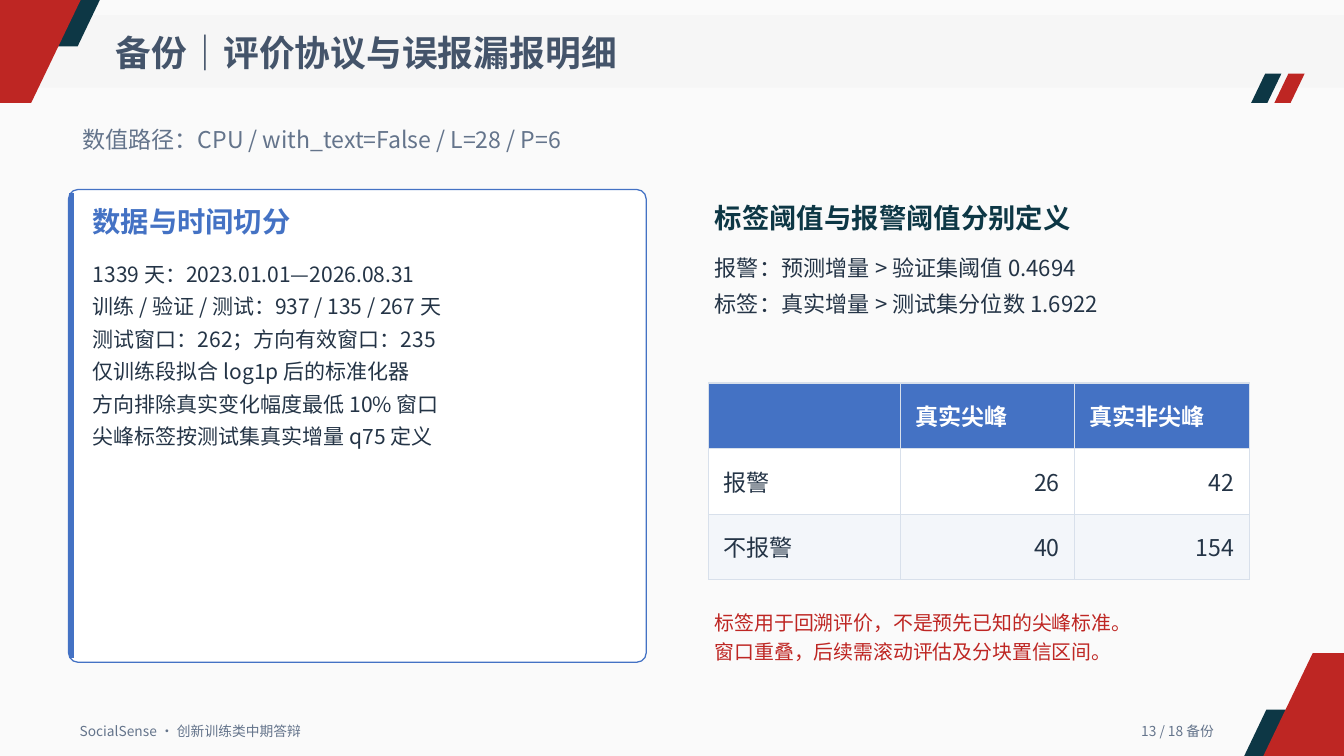
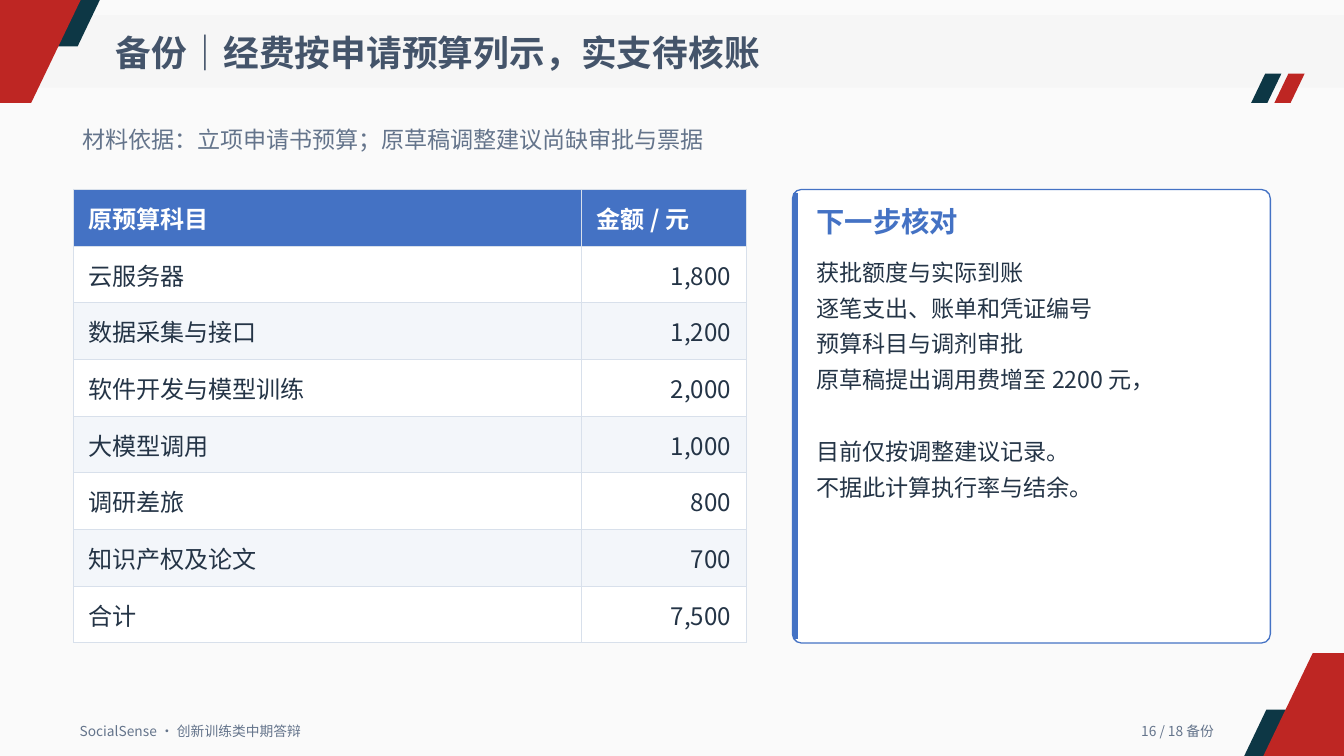
from lxml import etree
from pptx import Presentation
from pptx import util as u
from pptx.dml.color import RGBColor
from pptx.enum import shapes, text
from pptx.oxml import ns

W, H = 13.33, 7.5
FONT = "Noto Sans CJK SC"
RED, TEAL, BLUE, SLATE = "BE2623", "0D3745", "4472C4", "44546A"
INK, MUTED, WHITE, STRIPE, GRID = "243446", "64748B", "FFFFFF", "F3F6FA", "D8E0EB"
PAGE, BAND = "FAFAFA", "F6F6F6"


def rgb(color):
    return RGBColor.from_string(color)


def box(x, y, w, h):
    return [u.Inches(v) for v in (x, y, w, h)]


def style(p, size, color, bold=False, align=text.PP_ALIGN.LEFT):
    p.alignment = align
    f = p.font
    f.size, f.bold, f.name = u.Pt(size), bold, FONT
    f.color.rgb = rgb(color)
    rpr = p._p.find(".//" + ns.qn("a:defRPr"))
    etree.SubElement(rpr, ns.qn("a:ea"), typeface=FONT)


def add_text(s, x, y, w, h, lines, size, color, bold=False,
             align=text.PP_ALIGN.LEFT, leading=None, gap_before=None):
    tf = s.shapes.add_textbox(*box(x, y, w, h)).text_frame
    tf.word_wrap = True
    tf.margin_left = tf.margin_right = tf.margin_top = tf.margin_bottom = 0
    for i, line in enumerate(lines):
        p = tf.paragraphs[0] if i == 0 else tf.add_paragraph()
        p.text = line
        if leading:
            p.line_spacing = u.Pt(leading)
        if i == gap_before:
            p.space_before = u.Pt(leading)
        style(p, size, color, bold, align)


def paint(sp, fill, line=None):
    sp.shadow.inherit = False
    sp.fill.solid()
    sp.fill.fore_color.rgb = rgb(fill)
    if line:
        sp.line.color.rgb = rgb(line)
        sp.line.width = u.Pt(0.9)
    else:
        sp.line.fill.background()


def add_shape(s, kind, x, y, w, h, fill, line=None, adj=None):
    sp = s.shapes.add_shape(kind, *box(x, y, w, h))
    if adj is not None:
        sp.adjustments[0] = adj
    paint(sp, fill, line)


def add_corner(s, flipped=False):
    for top, bottom, depth, color in ((0.99, 0.77, 0.46, TEAL), (0.8, 0.31, 1.02, RED)):
        pts = [(0, 0), (top, 0), (bottom, depth), (0, depth)]
        if flipped:
            pts = [(W - x, H - y) for x, y in pts]
        pts = [(u.Inches(x), u.Inches(y)) for x, y in pts]
        fb = s.shapes.build_freeform(*pts[0])
        fb.add_line_segments(pts[1:])
        paint(fb.convert_to_shape(), color)


def add_base(prs, title, subtitle, page):
    s = prs.slides.add_slide(prs.slide_layouts[6])
    s.background.fill.solid()
    s.background.fill.fore_color.rgb = rgb(PAGE)
    add_shape(s, shapes.MSO_SHAPE.RECTANGLE, 0, 0.15, W, 0.72, BAND)
    for x, color in ((12.41, TEAL), (12.64, RED)):
        add_shape(s, shapes.MSO_SHAPE.PARALLELOGRAM, x, 0.73, 0.3, 0.29, color, adj=0.48)
    add_corner(s)
    add_corner(s, flipped=True)
    add_text(s, 1.15, 0.31, 11, 0.55, [title], 25.5, SLATE, True)
    add_text(s, 0.82, 1.24, 11, 0.35, [subtitle], 16.5, MUTED)
    add_text(s, 0.79, 7.17, 4, 0.21, ["SocialSense · 创新训练类中期答辩"], 9.8, MUTED)
    add_text(s, 10.04, 7.17, 2, 0.21, [f"{page} / 18 备份"], 9.8, MUTED,
             align=text.PP_ALIGN.RIGHT)
    return s


def add_card(s, x, y, w, h, title, lines, size, leading, body_top, body_w, gap_before=None):
    add_shape(s, shapes.MSO_SHAPE.ROUNDED_RECTANGLE, x, y, w, h, WHITE, BLUE, 0.02)
    bar_x = u.Inches(x + 0.03)
    bar = s.shapes.add_connector(shapes.MSO_CONNECTOR.STRAIGHT, bar_x, u.Inches(y + 0.03),
                                 bar_x, u.Inches(y + h - 0.04))
    bar.line.color.rgb = rgb(BLUE)
    bar.line.width = u.Pt(3.75)
    etree.SubElement(bar._element.spPr, ns.qn("a:effectLst"))
    add_text(s, x + 0.24, y + 0.15, w - 0.4, 0.43, [title], 20.2, BLUE, True)
    add_text(s, x + 0.24, y + body_top, body_w, h - body_top - 0.2, lines, size, INK,
             leading=leading, gap_before=gap_before)


def add_borders(cell):
    tcpr = cell._tc.get_or_add_tcPr()
    for i, side in enumerate(("lnL", "lnR", "lnT", "lnB")):
        ln = etree.Element(ns.qn("a:" + side), w=str(u.Pt(0.9)))
        fill = etree.SubElement(ln, ns.qn("a:solidFill"))
        etree.SubElement(fill, ns.qn("a:srgbClr"), val=GRID)
        tcpr.insert(i, ln)


def add_grid(s, x, y, widths, row_h, rows, size):
    frame = s.shapes.add_table(len(rows), len(widths),
                               *box(x, y, sum(widths), row_h * len(rows)))
    tbl = frame.table
    for col, w in zip(tbl.columns, widths):
        col.width = u.Inches(w)
    for i, row in enumerate(rows):
        tbl.rows[i].height = u.Inches(row_h)
        for j, value in enumerate(row):
            cell = tbl.cell(i, j)
            cell.text = value
            cell.vertical_anchor = text.MSO_ANCHOR.MIDDLE
            cell.margin_left = cell.margin_right = u.Inches(0.15)
            cell.margin_top = cell.margin_bottom = u.Inches(0.05)
            cell.fill.solid()
            cell.fill.fore_color.rgb = rgb(BLUE if i == 0 else WHITE if i % 2 else STRIPE)
            align = text.PP_ALIGN.RIGHT if i and j else text.PP_ALIGN.LEFT
            style(cell.text_frame.paragraphs[0], size, INK if i else WHITE, i == 0, align)
            add_borders(cell)


def add_thresholds(s, x, y):
    add_text(s, x, y, 5.3, 0.42, ["标签阈值与报警阈值分别定义"], 19.5, TEAL, True)
    add_text(s, x, y + 0.44, 3.86, 1.05,
             ["报警：预测增量 > 验证集阈值 0.4694", "标签：真实增量 > 测试集分位数 1.6922"],
             15.8, INK, leading=25.2)
    add_grid(s, x - 0.06, y + 1.8, [1.9, 1.73, 1.73], 0.65,
             [["", "真实尖峰", "真实非尖峰"], ["报警", "26", "42"], ["不报警", "40", "154"]], 16.5)
    add_text(s, x, y + 4.01, 5.3, 0.59,
             ["标签用于回溯评价，不是预先已知的尖峰标准。",
              "窗口重叠，后续需滚动评估及分块置信区间。"], 14.2, RED, leading=20.7)


def evaluation_slide(prs):
    s = add_base(prs, "备份｜评价协议与误报漏报明细",
                 "数值路径：CPU / with_text=False / L=28 / P=6", 13)
    add_card(s, 0.68, 1.88, 5.73, 4.69, "数据与时间切分",
             ["1339 天：2023.01.01—2026.08.31",
              "训练 / 验证 / 测试：937 / 135 / 267 天",
              "测试窗口：262；方向有效窗口：235",
              "仅训练段拟合 log1p 后的标准化器",
              "方向排除真实变化幅度最低 10% 窗口",
              "尖峰标签按测试集真实增量 q75 定义"], 15, 23.2, 0.64, 3.65)
    add_thresholds(s, 7.09, 2)


def budget_slide(prs):
    s = add_base(prs, "备份｜经费按申请预算列示，实支待核账",
                 "材料依据：立项申请书预算；原草稿调整建议尚缺审批与票据", 16)
    add_grid(s, 0.73, 1.88, [5.04, 1.63], 4.5 / 8,
             [["原预算科目", "金额 / 元"], ["云服务器", "1,800"], ["数据采集与接口", "1,200"],
              ["软件开发与模型训练", "2,000"], ["大模型调用", "1,000"], ["调研差旅", "800"],
              ["知识产权及论文", "700"], ["合计", "7,500"]], 17.2)
    add_card(s, 7.86, 1.88, 4.74, 4.5, "下一步核对",
             ["获批额度与实际到账", "逐笔支出、账单和凭证编号", "预算科目与调剂审批",
              "原草稿提出调用费增至 2200 元，", "目前仅按调整建议记录。",
              "不据此计算执行率与结余。"], 16.5, 25.6, 0.6, 4.3, gap_before=4)


def main():
    prs = Presentation()
    prs.slide_width, prs.slide_height = u.Inches(W), u.Inches(H)
    evaluation_slide(prs)
    budget_slide(prs)
    prs.save("out.pptx")


if __name__ == "__main__":
    main()
